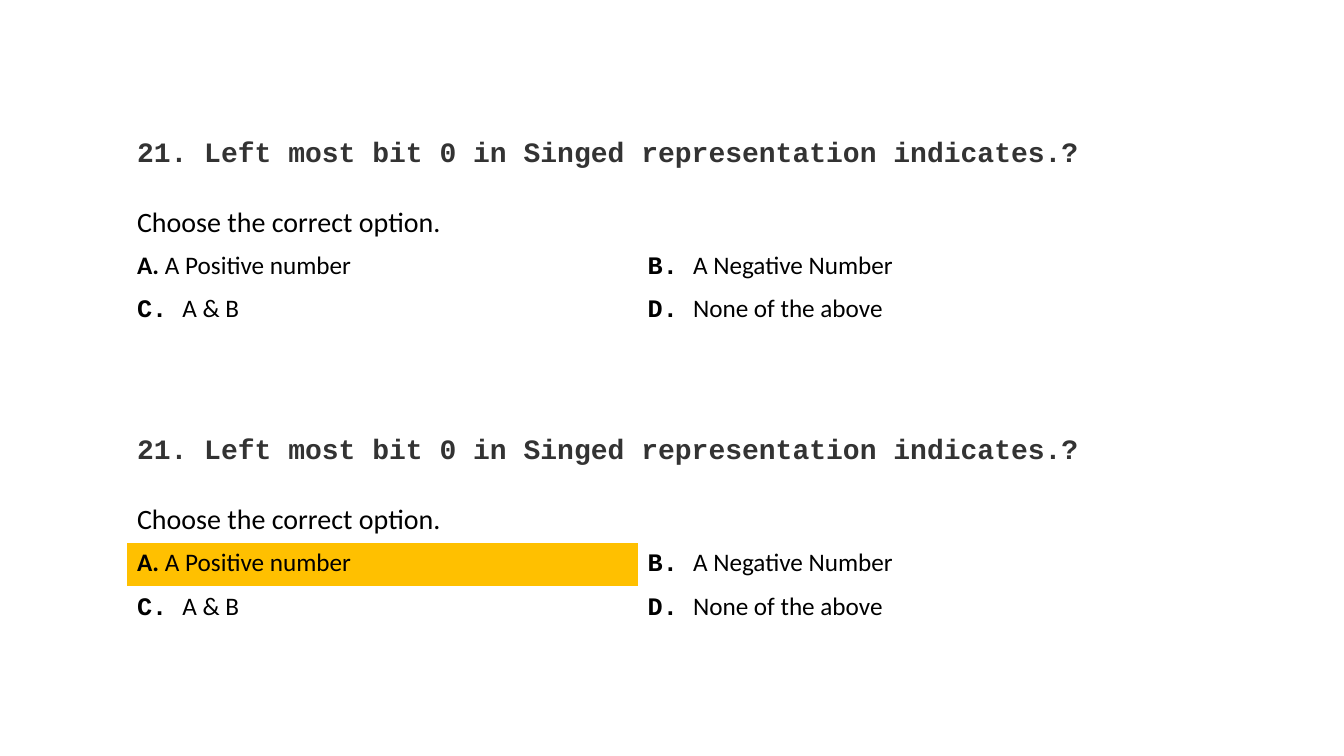
from typing import NamedTuple

from pptx import Presentation
from pptx.dml.color import RGBColor
from pptx.util import Pt

PLAIN = "{2D5ABB26-0587-4C30-8999-92F81FD0307C}"
SANS, MONO = "Calibri", "Courier New"
LEFT, COL = 90.7, 365
ROWS = (79.4, 31.2, 31.2)
HEAD = "21. Left most bit 0 in Singed representation indicates.?"
HINT = "Choose the correct option."


class Choice(NamedTuple):
    mark: str
    text: str
    face: str = MONO


class Quiz(NamedTuple):
    top: float
    fill: str


CHOICES = (
    Choice("A. ", "A Positive number", SANS),
    Choice("B. ", "A Negative Number"),
    Choice("C. ", "A & B"),
    Choice("D. ", "None of the above"),
)
QUIZZES = (Quiz(95.8, "FFFFFF"), Quiz(308.2, "FFC000"))


def color(code: str) -> RGBColor:
    return RGBColor.from_string(code)


def add_run(para, text: str, face: str, size: float, bold: bool,
            code: str = "000000") -> None:
    run = para.add_run()
    run.text = text
    form = {"name": face, "size": Pt(size), "bold": bold}
    for key, value in form.items():
        setattr(run.font, key, value)
    run.font.color.rgb = color(code)


def add_quiz(slide, quiz: Quiz) -> None:
    """Draw one question table; quiz.fill marks the cell of option A."""
    frame = slide.shapes.add_table(3, 2, Pt(LEFT), Pt(quiz.top),
                                   Pt(2 * COL), Pt(sum(ROWS)))
    table = frame.table
    table.first_row = table.horz_banding = False
    table._tbl.tblPr[0].text = PLAIN
    for col in table.columns:
        col.width = Pt(COL)
    for row, height in zip(table.rows, ROWS):
        row.height = Pt(height)
    for cell in table.iter_cells():
        cell.fill.background()

    head = table.cell(0, 0)
    head.merge(table.cell(0, 1))
    add_run(head.text_frame.paragraphs[0], HEAD, MONO, 20, True, "333333")
    hint = head.text_frame.add_paragraph()
    hint.space_before = Pt(25)
    add_run(hint, HINT, SANS, 20, False)

    for i, choice in enumerate(CHOICES):
        para = table.cell(1 + i // 2, i % 2).text_frame.paragraphs[0]
        add_run(para, choice.mark, choice.face, 18, True)
        add_run(para, choice.text, SANS, 18, False)

    first = table.cell(1, 0).fill
    first.solid()
    first.fore_color.rgb = color(quiz.fill)


def main() -> None:
    deck = Presentation()
    deck.slide_width, deck.slide_height = Pt(960.5), Pt(540)
    slide = deck.slides.add_slide(deck.slide_layouts[6])
    for quiz in QUIZZES:
        add_quiz(slide, quiz)
    deck.save("out.pptx")


if __name__ == "__main__":
    main()
